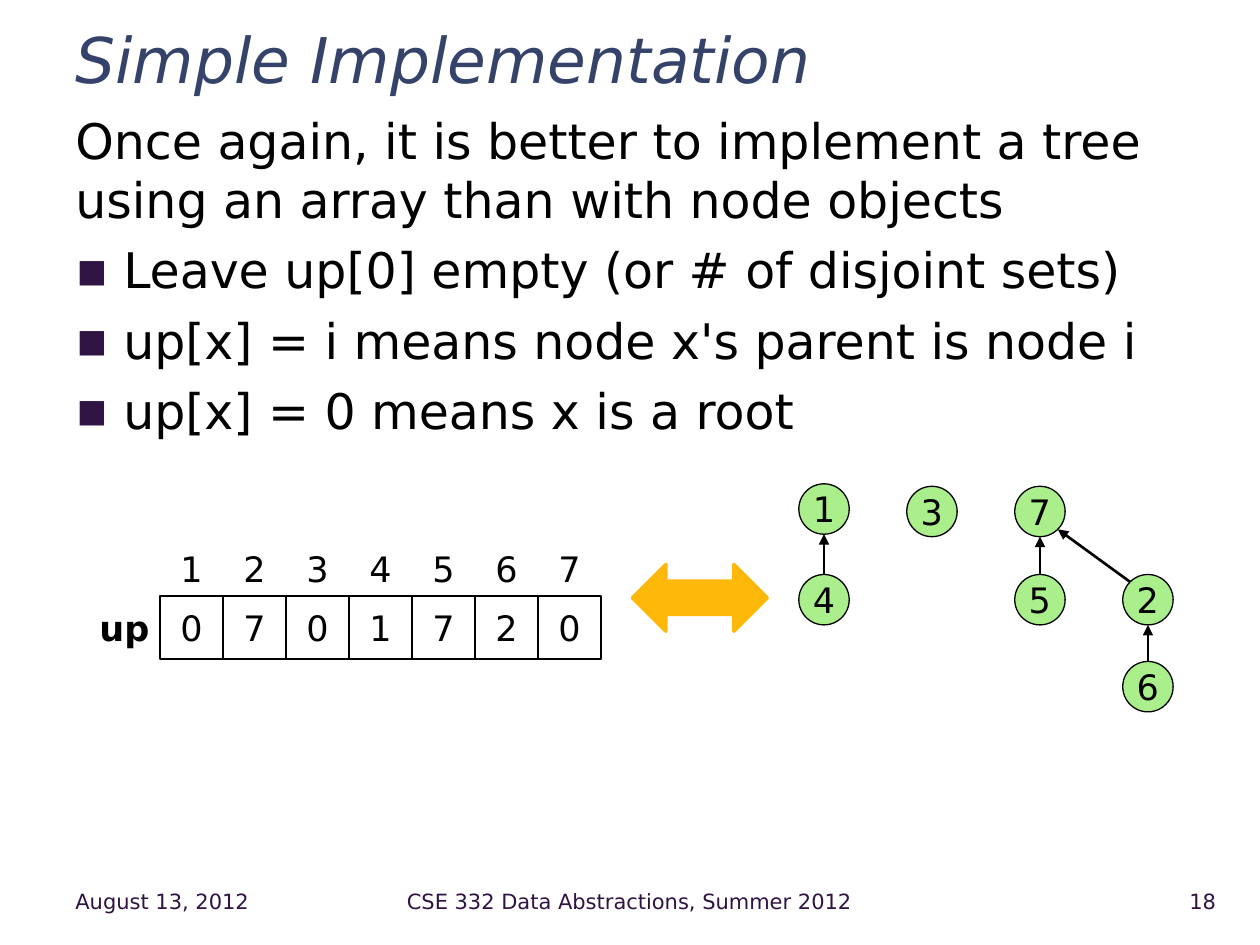
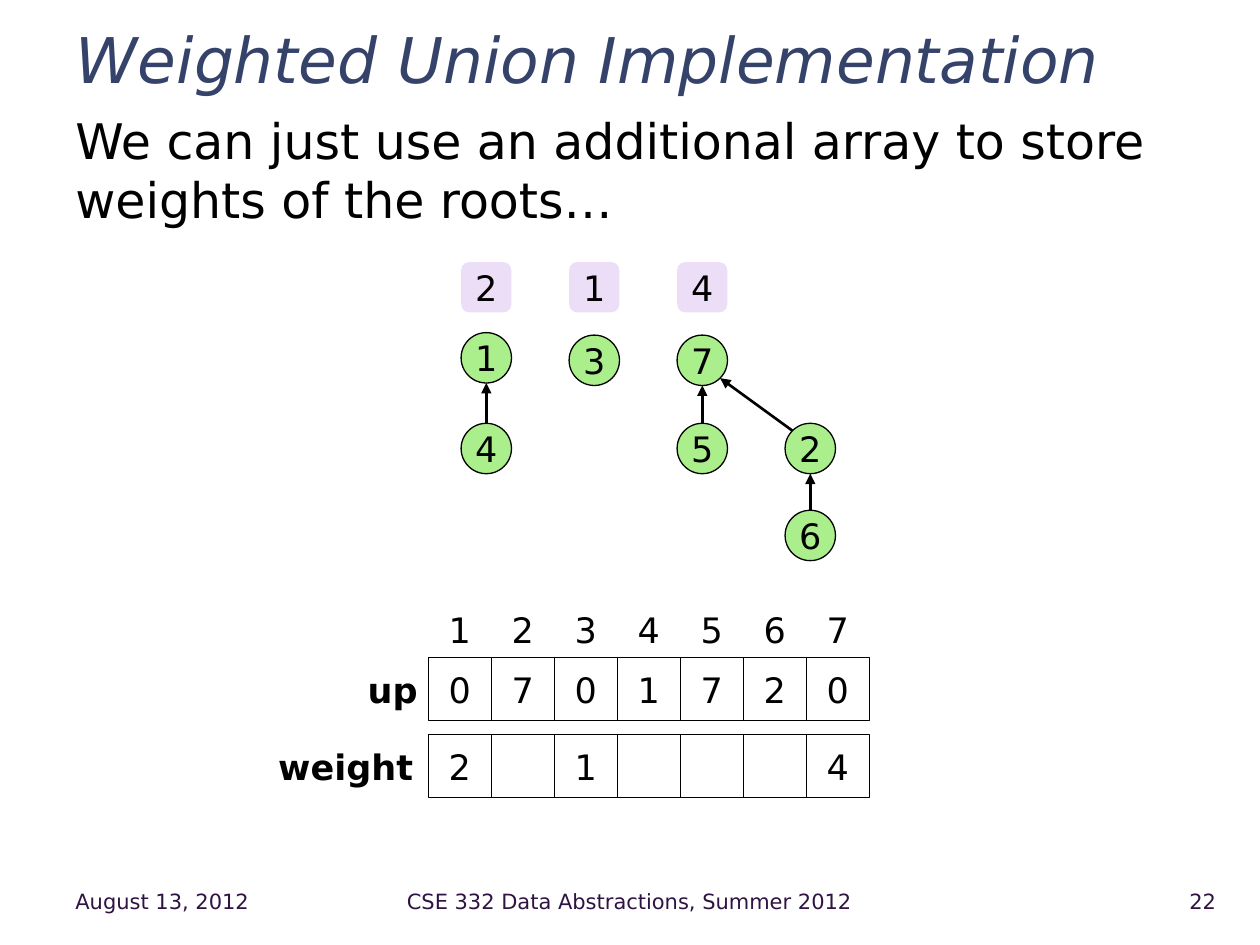
"""Builds two slides on storing disjoint-set trees in arrays."""
from lxml.etree import SubElement
from pptx import Presentation
from pptx.dml.color import RGBColor
from pptx.enum.shapes import MSO_CONNECTOR, MSO_SHAPE
from pptx.enum.text import MSO_ANCHOR, MSO_AUTO_SIZE, PP_ALIGN
from pptx.oxml.ns import qn
from pptx.util import Inches, Pt

FONT = "DejaVu Sans"
BLACK = RGBColor(0x00, 0x00, 0x00)
NAVY = RGBColor(0x35, 0x43, 0x6A)
PLUM = RGBColor(0x2F, 0x13, 0x43)
GREEN = RGBColor(0xAA, 0xEF, 0x8C)
LILAC = RGBColor(0xEC, 0xDE, 0xF6)
AMBER = RGBColor(0xFE, 0xB8, 0x0A)

DATE = "August 13, 2012"
COURSE = "CSE 332 Data Abstractions, Summer 2012"
UP = [0, 7, 0, 1, 7, 2, 0]
WEIGHT = [2, "", 1, "", "", "", 4]
NODE_PLACES = {1: (0, 0), 4: (0, 0.72), 3: (1, 0.02), 7: (2, 0.02),
               5: (2, 0.72), 2: (3, 0.72), 6: (3, 1.41)}
SIMPLE = {
    "number": 18,
    "title": "Simple Implementation",
    "intro": "Once again, it is better to implement a tree using an array than with node objects",
    "bullets": ["Leave up[0] empty (or # of disjoint sets)",
                "up[x] = i means node x's parent is node i",
                "up[x] = 0 means x is a root"],
    "body_height": 2.92, "forest": (6.34, 3.84), "array": (1.27, 4.73),
}
WEIGHTED = {
    "number": 22,
    "title": "Weighted Union Implementation",
    "intro": "We can just use an additional array to store weights of the roots…",
    "bullets": [],
    "body_height": 6, "forest": (3.66, 2.64), "array": (3.4, 5.22),
}

NODE = 0.4
TREE_STEP = 0.857
CELL = 0.5
DIAGONAL = NODE / 2 * 0.707


def write(frame, text, size=20, color=BLACK, bold=False, italic=False, align=PP_ALIGN.LEFT,
          anchor=MSO_ANCHOR.MIDDLE, wrap=True, inset=None, spacing=None, before=None,
          bullet=False, more=False):
    """Puts one formatted paragraph in a text frame."""
    frame.auto_size = MSO_AUTO_SIZE.NONE
    frame.word_wrap = wrap
    frame.vertical_anchor = anchor
    if inset is not None:
        frame.margin_left = frame.margin_right = Inches(inset)
        frame.margin_top = frame.margin_bottom = Inches(inset)
    paragraph = frame.add_paragraph() if more else frame.paragraphs[0]
    paragraph.alignment = align
    paragraph.line_spacing = spacing
    paragraph.space_before = before
    if bullet:
        properties = paragraph._p.get_or_add_pPr()
        properties.set("marL", str(Inches(0.38)))
        properties.set("indent", str(-Inches(0.38)))
        SubElement(SubElement(properties, qn("a:buClr")), qn("a:srgbClr"), val=str(PLUM))
        SubElement(properties, qn("a:buFont"), typeface=FONT)
        SubElement(properties, qn("a:buChar"), char="▪")
    run = paragraph.add_run()
    run.text = str(text)
    font = run.font
    font.name, font.size, font.color.rgb = FONT, Pt(size), color
    font.bold, font.italic = bold, italic


def add_label(slide, text, left, top, width, height, **style):
    """Adds a text box."""
    label = slide.shapes.add_textbox(*map(Inches, (left, top, width, height)))
    write(label.text_frame, text, **style)
    return label


def add_figure(slide, kind, left, top, width, height, text="", fill=None, line=BLACK,
               weight=0.75, inset=None):
    """Adds a preset shape with an optional centred value."""
    figure = slide.shapes.add_shape(kind, *map(Inches, (left, top, width, height)))
    figure.shadow.inherit = False
    if fill is None:
        figure.fill.background()
    else:
        figure.fill.solid()
        figure.fill.fore_color.rgb = fill
    if line is None:
        figure.line.fill.background()
    else:
        figure.line.color.rgb = line
        figure.line.width = Pt(weight)
    if text != "":
        write(figure.text_frame, text, align=PP_ALIGN.CENTER, wrap=False, inset=inset)


def add_parent_arrow(slide, start, end):
    """Draws an arrow from a child node to its parent."""
    arrow = slide.shapes.add_connector(MSO_CONNECTOR.STRAIGHT, *map(Inches, (*start, *end)))
    arrow.line.color.rgb = BLACK
    arrow.line.width = Pt(1.5)
    SubElement(arrow.line._get_or_add_ln(), qn("a:tailEnd"), type="triangle")
    SubElement(arrow._element.spPr, qn("a:effectLst"))


def add_forest(slide, left, top, show_weights=False):
    """Draws the up-trees, with root weights above if asked."""
    corners = {node: (left + column * TREE_STEP, top + drop)
               for node, (column, drop) in NODE_PLACES.items()}
    half = NODE / 2
    for child, parent in enumerate(UP, 1):
        if not parent:
            continue
        (x, y), (parent_x, parent_y) = corners[child], corners[parent]
        if x == parent_x:
            add_parent_arrow(slide, (x + half, y), (x + half, parent_y + NODE))
        else:
            add_parent_arrow(slide, (x + half - DIAGONAL, y + half - DIAGONAL),
                             (parent_x + half + DIAGONAL, parent_y + half + DIAGONAL))
    for node, (x, y) in corners.items():
        add_figure(slide, MSO_SHAPE.OVAL, x, y, NODE, NODE, node, fill=GREEN)
        if show_weights and not UP[node - 1]:
            add_figure(slide, MSO_SHAPE.ROUNDED_RECTANGLE, x, top - 0.56, NODE, NODE,
                       WEIGHT[node - 1], fill=LILAC, line=None)


def add_array(slide, name, values, left, top, name_width):
    """Draws a named row of array cells."""
    for index, value in enumerate(values):
        add_figure(slide, MSO_SHAPE.RECTANGLE, left + index * CELL, top, CELL, CELL,
                   value, inset=0.1)
    add_label(slide, name, left - name_width, top, name_width, CELL,
              bold=True, wrap=False, inset=0.1)


def add_up_array(slide, left, top):
    """Draws the up array under its indexes."""
    add_array(slide, "up", UP, left, top, name_width=0.58)
    for index in range(len(UP)):
        add_label(slide, index + 1, left + index * CELL, top - 0.47, CELL, CELL,
                  align=PP_ALIGN.CENTER, wrap=False, inset=0.1)


def add_page(deck, page):
    """Adds a slide with its title, body, footer, trees and up array."""
    slide = deck.slides.add_slide(deck.slide_layouts[5])
    title = slide.shapes.title
    title.left, title.top, title.width, title.height = map(Inches, (0.5, 0.17, 9.25, 0.53))
    write(title.text_frame, page["title"], size=36, color=NAVY, italic=True, spacing=1.1)
    body = add_label(slide, page["intro"], 0.5, 0.83, 9.25, page["body_height"],
                     size=28, anchor=MSO_ANCHOR.TOP)
    for point in page["bullets"]:
        write(body.text_frame, point, size=28, anchor=MSO_ANCHOR.TOP,
              before=Pt(6.5), bullet=True, more=True)
    for text, left, width, align in [(DATE, 0.5, 1.75, PP_ALIGN.LEFT),
                                     (COURSE, 2.32, 5.35, PP_ALIGN.CENTER),
                                     (page["number"], 8.89, 0.86, PP_ALIGN.RIGHT)]:
        add_label(slide, text, left, 6.95, width, 0.4, size=12, color=PLUM, align=align)
    add_forest(slide, *page["forest"], show_weights=page is WEIGHTED)
    add_up_array(slide, *page["array"])
    return slide


def main():
    """Builds and saves the deck."""
    deck = Presentation()
    deck.slide_width, deck.slide_height = Inches(10), Inches(7.5)
    simple = add_page(deck, SIMPLE)
    add_figure(simple, MSO_SHAPE.LEFT_RIGHT_ARROW, 5.02, 4.48, 1.07, 0.53,
               fill=AMBER, line=AMBER, weight=2)
    weighted = add_page(deck, WEIGHTED)
    left, top = WEIGHTED["array"]
    add_array(weighted, "weight", WEIGHT, left, top + 0.61, name_width=1.29)
    deck.save("out.pptx")


if __name__ == "__main__":
    main()
